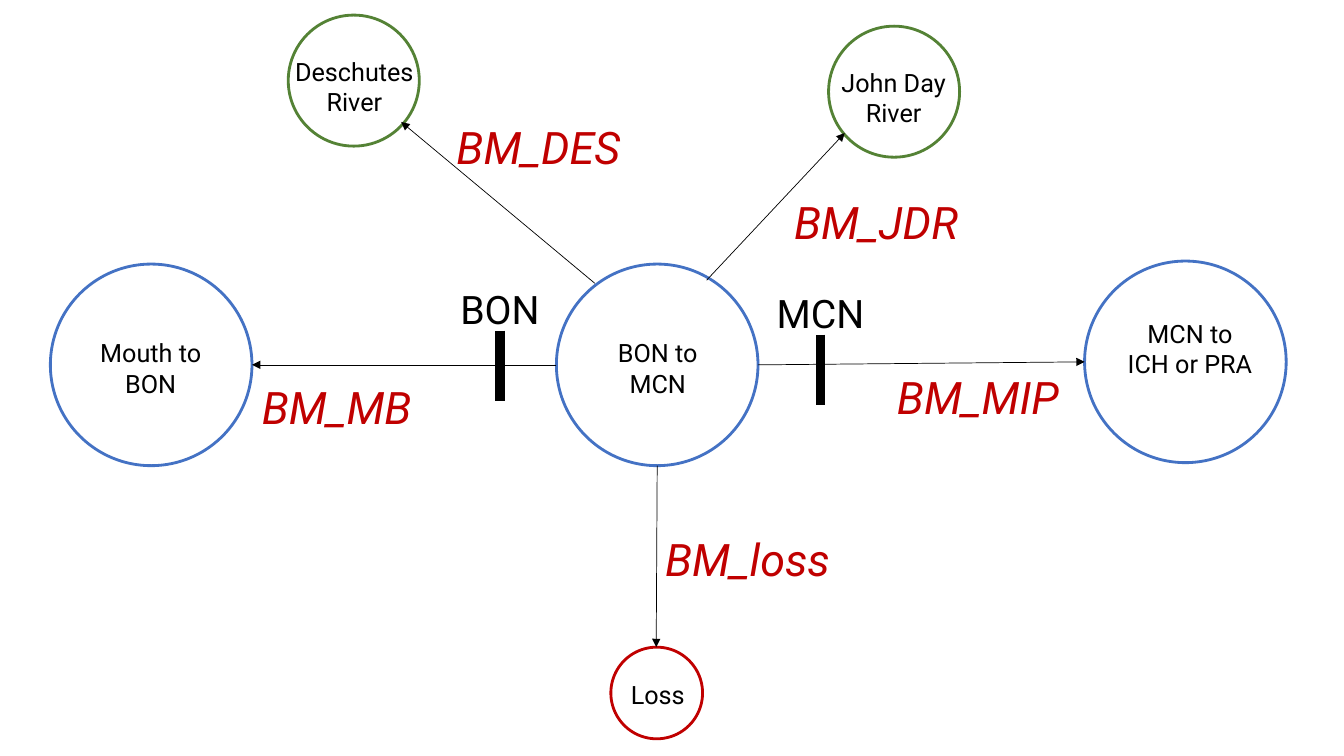
"""Build a one-slide diagram of fish movements between river reaches."""
from lxml.etree import SubElement
from pptx import Presentation
from pptx.dml.color import RGBColor
from pptx.enum.shapes import MSO_CONNECTOR, MSO_SHAPE
from pptx.enum.text import PP_ALIGN
from pptx.oxml.ns import qn
from pptx.util import Inches, Pt

FONT = "Roboto"
BLACK, BLUE, GREEN, RED = "000000", "4472C4", "548235", "C00000"
LABEL_WIDTH, CAPTION_WIDTH = 14.5, 21.8

REACHES = [
    (55.2, 26.2, 20, BLUE, (58, 33, 7.1), ["BON to MCN"]),
    (82.2, 2.6, 13, GREEN, (81.4, 6.2, 7.1), ["John Day", "River"]),
    (28.6, 1.5, 13, GREEN, (27.9, 5.1, 7.1), ["Deschutes River"]),
    (107.6, 25.9, 20, BLUE, (110.8, 31.1, 10.1), ["MCN to ICH or PRA"]),
    (5, 26.2, 20, BLUE, (7.7, 33, 7.1), ["Mouth to BON"]),
    (60.6, 64.2, 9.1, RED, (58, 66.9, 4), ["Loss"]),
]
DAMS = [
    ("BON", 49.6, 32.8),
    ("MCN", 81.4, 33.2),
]
MOVEMENTS = [
    ("BM_loss", (65, 52.3), (65.2, 46.2), (65.1, 64.2)),
    ("BM_MB", (25, 37.2), (55.2, 36.2), (25, 36.2)),
    ("BM_DES", (44.3, 11.4), (59, 28.1), (39.8, 12.1)),
    ("BM_JDR", (77.8, 18.8), (70.1, 27.8), (83.8, 13.2)),
    ("BM_MIP", (88, 36.2), (75.2, 36.2), (107.6, 35.9)),
]


def cells(*counts):
    """Turn counts of square 0.1-inch grid cells into lengths."""
    return [Inches(n / 10) for n in counts]


def rgb(value):
    """Return the colour for a hex string."""
    return RGBColor.from_string(value)


def add_text(s, x, y, w, h, lines, size, color=BLACK, align=PP_ALIGN.CENTER, italic=False):
    """Add a wrapping text box with one paragraph a line."""
    tf = s.shapes.add_textbox(*cells(x, y, w, h)).text_frame
    tf.word_wrap = True
    tf.text = "\n".join(lines)
    for p in tf.paragraphs:
        p.alignment = align
        p.font.name = FONT
        p.font.size = Pt(size)
        p.font.italic = italic
        p.font.color.rgb = rgb(color)


def add_reach(s, x, y, diameter, color, label, lines):
    """Add an outlined circle and its label."""
    sp = s.shapes.add_shape(MSO_SHAPE.OVAL, *cells(x, y, diameter, diameter))
    sp.shadow.inherit = False
    sp.fill.background()
    sp.line.color.rgb = rgb(color)
    sp.line.width = Pt(2)
    left, top, height = label
    add_text(s, left, top, LABEL_WIDTH, height, lines, 18)


def add_line(s, start, end, width, arrow=False):
    """Add a straight black line, with an arrowhead at its end if asked."""
    line = s.shapes.add_connector(MSO_CONNECTOR.STRAIGHT, *cells(*start, *end))
    line.line.color.rgb = rgb(BLACK)
    line.line.width = Pt(width)
    if arrow:
        SubElement(line.line._get_or_add_ln(), qn("a:tailEnd"), type="triangle")
    SubElement(line._element.spPr, qn("a:effectLst"))


def add_dam(s, name, x, top):
    """Add a thick bar with the dam's name centred above it."""
    add_line(s, (x, top), (x, top + 7), 7)
    add_text(s, x - CAPTION_WIDTH / 2, top - 5, CAPTION_WIDTH, 5.7, [name], 28)


def add_movement(s, name, caption, start, end):
    """Add an arrow and its red italic caption."""
    add_line(s, start, end, 0.5, arrow=True)
    add_text(s, *caption, CAPTION_WIDTH, 6.4, [name], 32, RED, PP_ALIGN.LEFT, italic=True)


def main():
    """Build and save the slide."""
    prs = Presentation()
    prs.slide_width, prs.slide_height = cells(133.33, 75)
    s = prs.slides.add_slide(prs.slide_layouts[6])
    for reach in REACHES:
        add_reach(s, *reach)
    for dam in DAMS:
        add_dam(s, *dam)
    for movement in MOVEMENTS:
        add_movement(s, *movement)
    prs.save("out.pptx")


if __name__ == "__main__":
    main()
